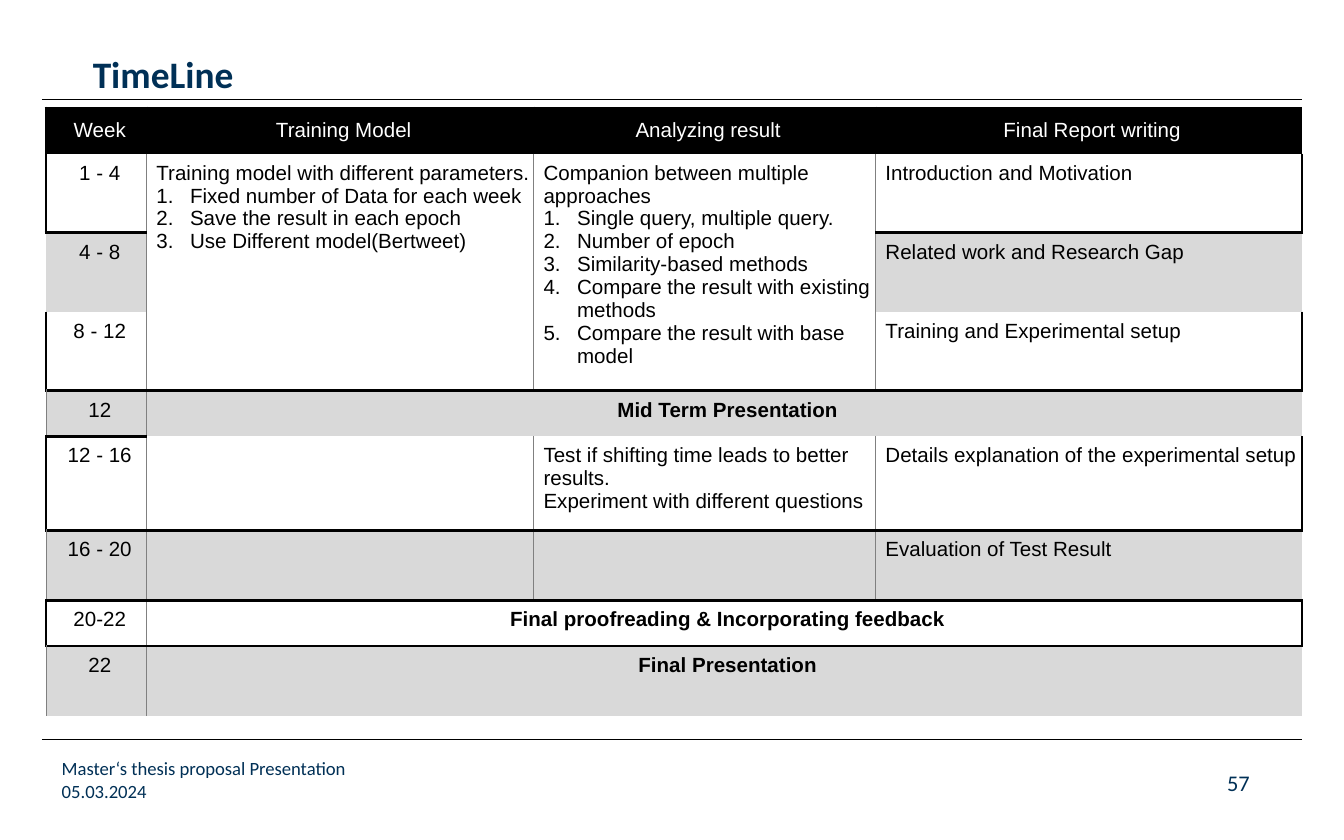
from dataclasses import dataclass

from lxml.etree import SubElement
from pptx import Presentation
from pptx.dml.color import RGBColor
from pptx.enum.shapes import MSO_CONNECTOR
from pptx.enum.text import MSO_ANCHOR, MSO_AUTO_SIZE, PP_ALIGN
from pptx.oxml.ns import qn
from pptx.util import Pt


@dataclass(frozen=True)
class Theme:
    navy: str = "003056"
    black: str = "000000"
    white: str = "FFFFFF"
    band: str = "D9D9D9"
    rule: str = "808080"
    head: str = "Calibri"
    body: str = "Arial"
    title: float = 20
    cell: float = 11
    page: float = 12
    foot: float = 10
    thin: float = 0.5
    thick: float = 1.5
    plain: str = "{2D5ABB26-0587-4C30-8999-92F81FD0307C}"


class Deck:
    def __init__(self, theme, width, height):
        self.theme = theme
        self.file = Presentation()
        self.file.slide_width, self.file.slide_height = Pt(width), Pt(height)
        self.slide = self.file.slides.add_slide(self.file.slide_layouts[5])

    def style(self, para, face, size, color, bold=False, align=PP_ALIGN.LEFT):
        para.alignment = align
        for run in para.runs:
            font = run.font
            font.name, font.size, font.bold = face, Pt(size), bold
            font.color.rgb = RGBColor.from_string(color)

    def frame(self, shape, text, size, **looks):
        frame = shape.text_frame
        frame.margin_left = frame.margin_right = 0
        frame.margin_top = frame.margin_bottom = 0
        frame.word_wrap = True
        frame.auto_size = MSO_AUTO_SIZE.NONE
        frame.text = text
        self.style(frame.paragraphs[0], self.theme.head, size, self.theme.navy, **looks)
        return frame

    def title(self, text, left, top, width, height):
        shape = self.slide.shapes.title
        shape.left, shape.top = Pt(left), Pt(top)
        shape.width, shape.height = Pt(width), Pt(height)
        frame = self.frame(shape, text, self.theme.title, bold=True)
        frame.vertical_anchor = MSO_ANCHOR.MIDDLE
        frame.paragraphs[0].line_spacing = 0.9

    def label(self, text, left, top, width, size, align=PP_ALIGN.LEFT):
        box = self.slide.shapes.add_textbox(Pt(left), Pt(top), Pt(width), Pt(14.4))
        self.frame(box, text, size, align=align)

    def line(self, left, right, top):
        line = self.slide.shapes.add_connector(
            MSO_CONNECTOR.STRAIGHT, Pt(left), Pt(top), Pt(right), Pt(top))
        line.line.width = Pt(self.theme.thin)
        line.line.color.rgb = RGBColor.from_string(self.theme.black)
        SubElement(line._element.spPr, qn("a:effectLst"))

    def table(self, left, top, widths, heights):
        shape = self.slide.shapes.add_table(
            len(heights), len(widths), Pt(left), Pt(top), Pt(sum(widths)), Pt(sum(heights)))
        table = shape.table
        table.first_row = table.horz_banding = False
        table._tbl.tblPr.find(qn("a:tableStyleId")).text = self.theme.plain
        for col, width in zip(table.columns, widths):
            col.width = Pt(width)
        for row, height in zip(table.rows, heights):
            row.height = Pt(height)
        return table

    def number(self, para):
        props = para._p.get_or_add_pPr()
        props.set("marL", str(Pt(18)))
        props.set("indent", str(-Pt(18)))
        SubElement(props, qn("a:buFont"), typeface="+mj-lt")
        SubElement(props, qn("a:buAutoNum"), type="arabicPeriod")

    def border(self, cell, edges):
        props = cell._tc.get_or_add_tcPr()
        for side in "LRTB":
            if side in edges:
                color = edges[side]
                width = self.theme.thin if color == self.theme.rule else self.theme.thick
                line = SubElement(props, qn(f"a:ln{side}"), w=str(Pt(width)))
                fill = SubElement(line, qn("a:solidFill"))
                SubElement(fill, qn("a:srgbClr"), val=color)

    def cell(self, cell, lines, steps, fill, edges, color, bold, align, anchor):
        cell.margin_left, cell.margin_right = Pt(5.2), Pt(1.5)
        cell.margin_top = cell.margin_bottom = Pt(4.3)
        cell.vertical_anchor = anchor
        self.border(cell, edges)
        if fill:
            cell.fill.solid()
            cell.fill.fore_color.rgb = RGBColor.from_string(fill)
        else:
            cell.fill.background()
        frame = cell.text_frame
        frame.text = "\n".join(lines + steps)
        for idx, para in enumerate(frame.paragraphs):
            if steps and idx >= len(lines):
                self.number(para)
            self.style(para, self.theme.body, self.theme.cell, color, bold, align)


HEADS = ["Week", "Training Model", "Analyzing result", "Final Report writing"]
WEEKS = ["1 - 4", "4 - 8", "8 - 12", "12", "12 - 16", "16 - 20", "20-22", "22"]
TEXTS = {
    (1, 1): ["Training model with different parameters."],
    (1, 2): ["Companion between multiple approaches"],
    (1, 3): ["Introduction and Motivation"],
    (2, 3): ["Related work and Research Gap"],
    (3, 3): ["Training and Experimental setup"],
    (4, 1): ["Mid Term Presentation"],
    (5, 2): ["Test if shifting time leads to better results.",
             "Experiment with different questions"],
    (5, 3): ["Details explanation of the experimental setup"],
    (6, 3): ["Evaluation of Test Result"],
    (7, 1): ["Final proofreading & Incorporating feedback"],
    (8, 1): ["Final Presentation"],
}
TEXTS.update({(0, col): [text] for col, text in enumerate(HEADS)})
TEXTS.update({(row, 0): [text] for row, text in enumerate(WEEKS, 1)})
STEPS = {
    (1, 1): ["Fixed number of Data for each week", "Save the result in each epoch",
             "Use Different model(Bertweet)"],
    (1, 2): ["Single query, multiple query.", "Number of epoch", "Similarity-based methods",
             "Compare the result with existing methods",
             "Compare the result with base model"],
}
WIDE = (4, 7, 8)
WIDTHS = [54, 207.4, 183.2, 228.2]
HEIGHTS = [24.6, 42.3, 42.3, 42.3, 24.6, 50.4, 37.5, 24.6, 37.5]


def edges(theme, row, col, last):
    black, rule = theme.black, theme.rule
    if row == 0:
        sides = {"L": black, "T": black, "R": black}
    elif row % 2:
        sides = {"L": rule if col else black, "R": black if last else rule, "B": black}
        if (row, col) == (3, 3):
            del sides["L"]
        return sides
    elif row == 2 or last:
        return {}
    else:
        sides = {"L": rule, "T": black, "R": rule}
    if last:
        del sides["R"]
    return sides


def plan(deck):
    theme = deck.theme
    table = deck.table(24.6, 57.7, WIDTHS, HEIGHTS)
    for col in (1, 2):
        table.cell(1, col).merge(table.cell(3, col))
    for row in WIDE:
        table.cell(row, 1).merge(table.cell(row, 3))
    for row in range(len(HEIGHTS)):
        for col in range(len(WIDTHS)):
            cell = table.cell(row, col)
            if cell.is_spanned:
                continue
            head, wide = row == 0, row in WIDE and col == 1
            fill = theme.black if head else None if row % 2 else theme.band
            deck.cell(
                cell, TEXTS.get((row, col), []), STEPS.get((row, col), []), fill,
                edges(theme, row, col, wide or col == 3),
                theme.white if head else theme.black, wide,
                PP_ALIGN.CENTER if head or wide or col == 0 else PP_ALIGN.LEFT,
                MSO_ANCHOR.MIDDLE if head else MSO_ANCHOR.TOP)


def main():
    theme = Theme()
    deck = Deck(theme, 720, 450)
    for top in (53.3, 396):
        deck.line(22.5, 697.5, top)
    deck.label("57", 558.7, 411.8, 110.9, theme.page, PP_ALIGN.RIGHT)
    deck.label("05.03.2024", 33.1, 417.9, 224, theme.foot)
    deck.label("Master‘s thesis proposal Presentation", 33.1, 405.2, 304, theme.foot)
    deck.title("TimeLine", 49.7, 23.8, 620.6, 33.8)
    plan(deck)
    deck.file.save("out.pptx")


if __name__ == "__main__":
    main()
